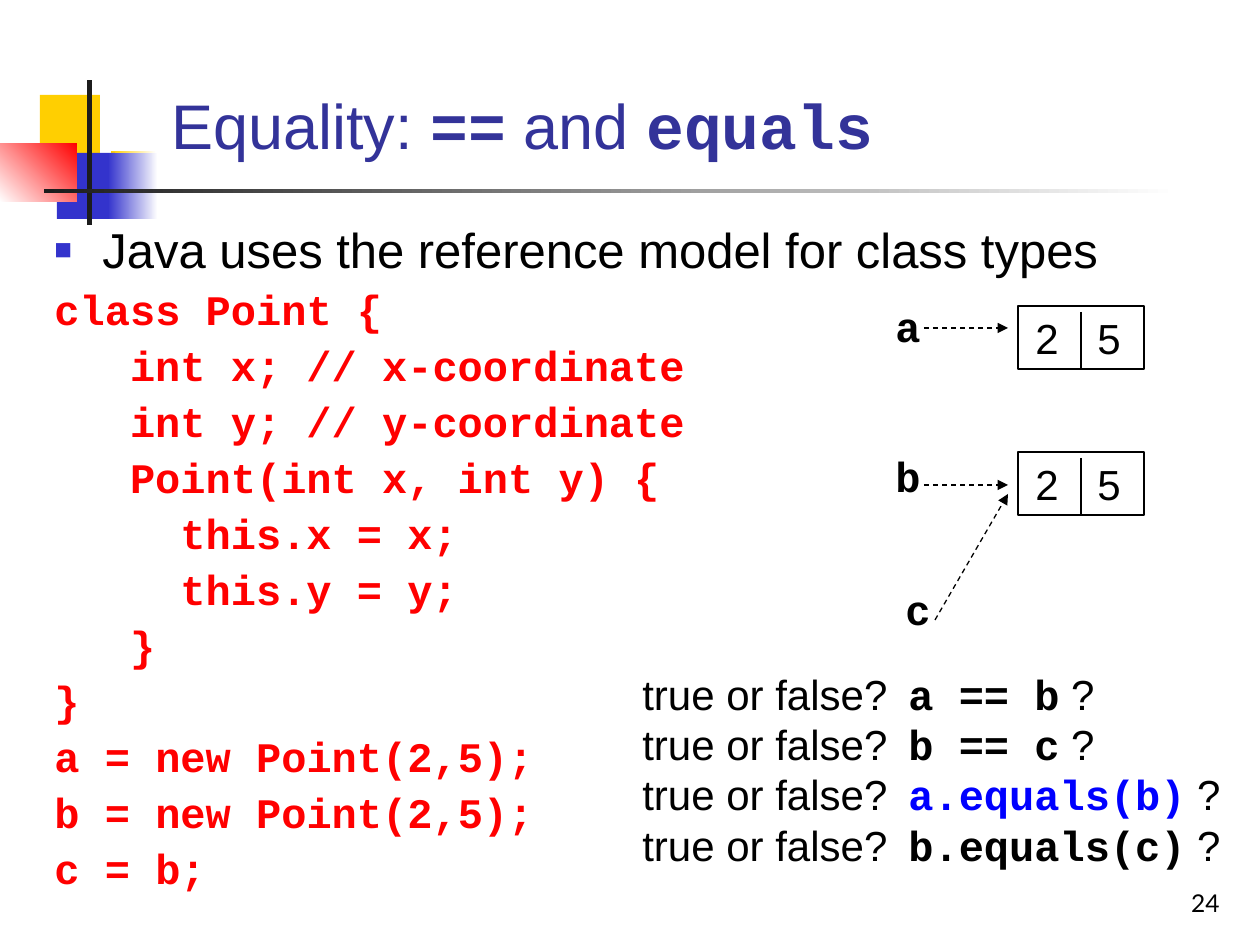
from dataclasses import dataclass

from lxml.etree import SubElement
from pptx import Presentation
from pptx.dml.color import RGBColor
from pptx.enum.dml import MSO_LINE
from pptx.enum.shapes import MSO_CONNECTOR, MSO_SHAPE
from pptx.enum.text import MSO_ANCHOR, PP_ALIGN
from pptx.oxml.ns import qn
from pptx.util import Emu, Pt

EMU_PER_PX = 914400 / 126


def px(length):
    return Emu(round(length * EMU_PER_PX))


@dataclass(frozen=True)
class Theme:
    black: str = "000000"
    white: str = "FFFFFF"
    ink: str = "1C1C1C"
    yellow: str = "FFCF01"
    blue: str = "3333CC"
    red: str = "FF0000"
    title: str = "333399"
    highlight: str = "0000FF"
    sans: str = "Arial"
    mono: str = "Courier New"
    number_font: str = "Lato"
    title_size: int = 36
    lead_size: int = 28
    text_size: int = 24
    number_size: int = 14
    line_width: float = 0.75


class Page:
    """A slide together with the theme its elements are drawn in."""

    def __init__(self, deck, theme):
        self.theme = theme
        self.slide = deck.slides.add_slide(deck.slide_layouts[6])

    def rect(self, left, top, width, height, fill=None, fade=None, angle=180):
        """Draw a filled box, fading to a second colour, or an outline if unfilled."""
        box = self.slide.shapes.add_shape(
            MSO_SHAPE.RECTANGLE, px(left), px(top), px(width), px(height))
        box.shadow.inherit = False
        if fill is None:
            box.fill.background()
            box.line.color.rgb = RGBColor.from_string(self.theme.black)
            box.line.width = Pt(self.theme.line_width)
            return
        box.line.fill.background()
        if fade is None:
            box.fill.solid()
            box.fill.fore_color.rgb = RGBColor.from_string(fill)
        else:
            box.fill.gradient()
            box.fill.gradient_angle = angle
            for stop, color in zip(box.fill.gradient_stops, (fill, fade)):
                stop.color.rgb = RGBColor.from_string(color)

    def line(self, start, end, arrow=False):
        """Draw a plain line, or a dashed one with an arrowhead."""
        line = self.slide.shapes.add_connector(
            MSO_CONNECTOR.STRAIGHT, *map(px, start + end))
        line.line.color.rgb = RGBColor.from_string(self.theme.black)
        line.line.width = Pt(self.theme.line_width)
        if arrow:
            line.line.dash_style = MSO_LINE.DASH
            SubElement(line.line._get_or_add_ln(), qn("a:tailEnd"), type="triangle")
        SubElement(line._element.spPr, qn("a:effectLst"))

    def text_box(self, left, top, width, height, anchor=MSO_ANCHOR.TOP):
        box = self.slide.shapes.add_textbox(px(left), px(top), px(width), px(height))
        frame = box.text_frame
        frame.word_wrap = True
        frame.vertical_anchor = anchor
        return frame

    def para(self, frame, first=False):
        return frame.paragraphs[0] if first else frame.add_paragraph()

    def span(self, para, text, size=None, color=None, font=None, bold=False):
        span = para.add_run()
        span.text = text
        span.font.size = Pt(size or self.theme.text_size)
        span.font.name = font or self.theme.sans
        span.font.bold = bold
        span.font.color.rgb = RGBColor.from_string(color or self.theme.black)

    def code(self, para, text, size=None, color=None):
        self.span(para, text, size, color, self.theme.mono, bold=True)

    def bullet(self, para, indent):
        props = para._p.get_or_add_pPr()
        props.set("marL", str(px(indent)))
        props.set("indent", str(px(-indent)))
        color = SubElement(props, qn("a:buClr"))
        SubElement(color, qn("a:srgbClr"), val=self.theme.blue)
        SubElement(props, qn("a:buSzPct"), val="60000")
        SubElement(props, qn("a:buFont"), typeface=self.theme.sans)
        SubElement(props, qn("a:buChar"), char="■")

    def tab_stop(self, para, position):
        tabs = SubElement(para._p.get_or_add_pPr(), qn("a:tabLst"))
        SubElement(tabs, qn("a:tab"), pos=str(px(position)), algn="l")

    def variable(self, name, left, top):
        self.code(self.text_box(left, top, 50, 63).paragraphs[0], name)

    def point(self, top, values):
        """Draw a point object as two cells holding its coordinates."""
        left, width, height = 1018, 126, 63
        self.rect(left, top, width, height)
        self.line((left + 63, top + 6), (left + 63, top + height))
        for column, value in enumerate(values):
            frame = self.text_box(left + 5 + 62 * column, top, 48, height)
            self.span(frame.paragraphs[0], value)


def draw_ornament(page):
    theme = page.theme
    page.rect(40, 95, 60, 66, theme.yellow)
    page.rect(111, 151, 45, 66, theme.white, theme.yellow)
    page.rect(57, 153, 58, 66, theme.blue)
    page.rect(108, 153, 50, 66, theme.white, theme.blue)
    page.rect(0, 143, 77, 59, theme.red, theme.white, angle=225)
    page.rect(87, 80, 5, 145, theme.ink)
    page.rect(44, 189, 1134, 4, theme.white, theme.ink)


def draw_title(page):
    theme = page.theme
    para = page.text_box(159, 29, 1074, 139, MSO_ANCHOR.BOTTOM).paragraphs[0]
    look = (theme.title_size, theme.title)
    page.span(para, "Equality: ", *look)
    page.code(para, "==", *look)
    page.span(para, " and ", *look)
    page.code(para, "equals", *look)


def draw_listing(page):
    theme = page.theme
    character_width = 25.2
    listing = [
        (0, "class Point {"),
        (3, "int x; // x-coordinate"),
        (3, "int y; // y-coordinate"),
        (3, "Point(int x, int y) {"),
        (5, "this.x = x;"),
        (5, "this.y = y;"),
        (3, "}"),
        (0, "}"),
        (0, "a = new Point(2,5);"),
        (0, "b = new Point(2,5);"),
        (0, "c = b;"),
    ]
    frame = page.text_box(42, 220, 1155, 714)
    lead = page.para(frame, first=True)
    lead.line_spacing, lead.space_before = 0.9, Pt(7)
    page.bullet(lead, 48)
    page.span(lead, "Java uses the reference model for class types", theme.lead_size)
    for depth, text in listing:
        para = page.para(frame)
        para.line_spacing, para.space_before = 0.9, Pt(6)
        para._p.get_or_add_pPr().set("marL", str(px(depth * character_width)))
        page.code(para, text, color=theme.red)


def draw_references(page):
    for name, left, top in (("a", 883, 294), ("b", 883, 444), ("c", 893, 577)):
        page.variable(name, left, top)
    for top in (306, 452):
        page.point(top, "25")
    for start, end in (((924, 328), (1008, 328)), ((924, 485), (1008, 485)),
                       ((935, 620), (1008, 494))):
        page.line(start, end, arrow=True)


def draw_questions(page):
    frame = page.text_box(630, 662, 620, 214)
    questions = ("a == b", "b == c", "a.equals(b)", "b.equals(c)")
    for index, question in enumerate(questions):
        para = page.para(frame, first=index == 0)
        page.tab_stop(para, 266)
        page.span(para, "true or false?\t")
        highlighted = question == "a.equals(b)"
        page.code(para, question, color=page.theme.highlight if highlighted else None)
        page.span(para, " ?")


def draw_page_number(page):
    para = page.text_box(970, 861, 262, 63, MSO_ANCHOR.BOTTOM).paragraphs[0]
    para.alignment = PP_ALIGN.RIGHT
    page.span(para, "24", page.theme.number_size, font=page.theme.number_font)


def main():
    deck = Presentation()
    deck.slide_width, deck.slide_height = px(1260), px(945)
    page = Page(deck, Theme())
    for draw in (draw_ornament, draw_page_number, draw_title, draw_listing,
                 draw_references, draw_questions):
        draw(page)
    deck.save("out.pptx")


if __name__ == "__main__":
    main()
